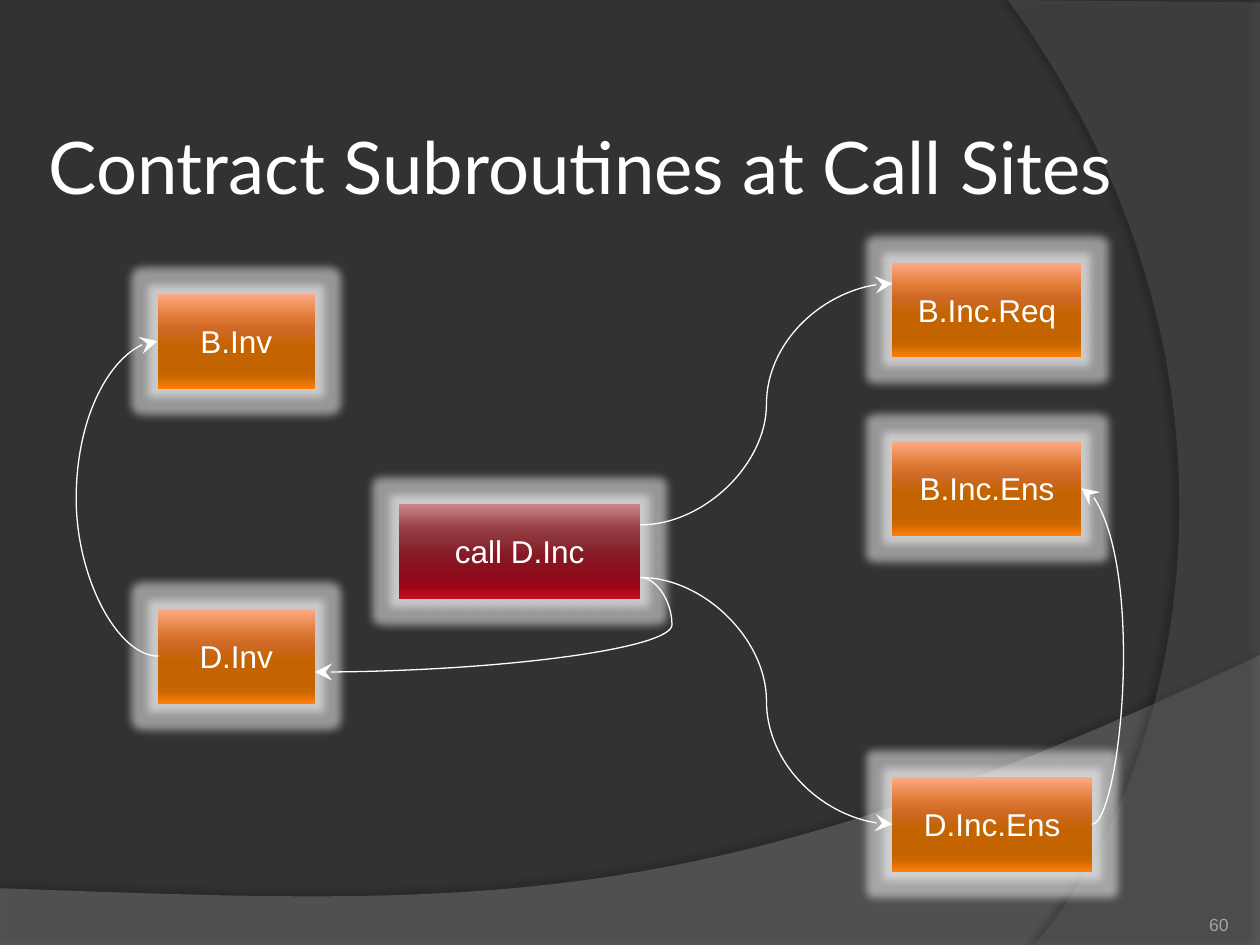
"""Build the slide on contract subroutines at call sites, on a grid of 120 columns by 90 rows."""
from lxml.etree import SubElement
from pptx import Presentation
from pptx.dml.color import RGBColor
from pptx.enum.shapes import MSO_CONNECTOR, MSO_SHAPE
from pptx.enum.text import MSO_ANCHOR, MSO_AUTO_SIZE, PP_ALIGN
from pptx.oxml.ns import qn
from pptx.util import Inches, Pt

CURVE = MSO_CONNECTOR.CURVE
RECTANGLE = MSO_SHAPE.RECTANGLE
MIDDLE, BOTTOM = MSO_ANCHOR.MIDDLE, MSO_ANCHOR.BOTTOM
LEFT, CENTER, RIGHT = PP_ALIGN.LEFT, PP_ALIGN.CENTER, PP_ALIGN.RIGHT
WHITE = RGBColor(0xFF, 0xFF, 0xFF)
BLACK = RGBColor(0x00, 0x00, 0x00)
BACKGROUND = RGBColor(0x32, 0x32, 0x32)
FLOOR_GRAY = RGBColor(0x7F, 0x7F, 0x7F)
SIDE_GRAY = RGBColor(0x5E, 0x5E, 0x5E)
NUMBER_GRAY = RGBColor(0xA8, 0xA4, 0x9B)
RED_SHADES = [RGBColor.from_string(shade) for shade in
              "CA888B 973F46 8A3238 861723 900B1A 9F0516 BF0F21".split()]
ORANGE_SHADES = [RGBColor.from_string(shade) for shade in
                 "FFAA86 DE7A35 CD6924 C36400 C26300 CC6800 FF7F0A".split()]
STOPS = (0, 25, 38, 55, 80, 88, 100)
CURVE_STEPS = 60
BOX_ROWS = 9


def add_effect(shape, name, color, opacity, **attributes):
    shape.shadow.inherit = False
    effects = shape.element.spPr.find(qn("a:effectLst"))
    effect = SubElement(effects, qn(name), {key: str(value) for key, value in attributes.items()})
    tint = SubElement(effect, qn("a:srgbClr"), val=str(color))
    SubElement(tint, qn("a:alpha"), val=str(opacity * 1000))


def write_text(shape, text, font_name, size, color, alignment, anchor, margin):
    frame = shape.text_frame
    frame.word_wrap = True
    frame.auto_size = MSO_AUTO_SIZE.NONE
    frame.vertical_anchor = anchor
    frame.margin_left = frame.margin_right = frame.margin_top = frame.margin_bottom = margin
    paragraph = frame.paragraphs[0]
    paragraph.alignment = alignment
    run = paragraph.add_run()
    run.text = text
    run.font.name = font_name
    run.font.size = Pt(size)
    run.font.color.rgb = color


presentation = Presentation()
presentation.slide_width, presentation.slide_height = Inches(10), Inches(7.5)
cell = presentation.slide_width // 120
slide = presentation.slides.add_slide(presentation.slide_layouts[5])
slide.background.fill.solid()
slide.background.fill.fore_color.rgb = BACKGROUND

waves = [
    ([(10, 5.2), (5.59, 7.29), (3.91, 7.19), (0, 7.05)], [(0, 7.5), (10, 7.5)],
     FLOOR_GRAY, 45, 35, 3.5, 270),
    ([(8.21, 7.5), (9.35, 6.19), (10.18, 3), (8, 0)], [(10, 0.02), (10, 7.5)],
     SIDE_GRAY, 40, 45, 4, 180),
]
for controls, corners, color, opacity, shadow_opacity, distance, direction in waves:
    points = []
    for step in range(CURVE_STEPS + 1):
        t = step / CURVE_STEPS
        weights = ((1 - t) ** 3, 3 * t * (1 - t) ** 2, 3 * t ** 2 * (1 - t), t ** 3)
        points.append([sum(weight * control[axis] for weight, control in zip(weights, controls))
                       for axis in (0, 1)])
    points = [(Inches(x), Inches(y)) for x, y in points + corners]
    builder = slide.shapes.build_freeform(*points[0])
    builder.add_line_segments(points[1:], close=True)
    wave = builder.convert_to_shape()
    wave.fill.solid()
    wave.fill.fore_color.rgb = color
    tint = wave.element.spPr.find(qn("a:solidFill"))[0]
    SubElement(tint, qn("a:alpha"), val=str(opacity * 1000))
    wave.line.fill.background()
    add_effect(wave, "a:outerShdw", BLACK, shadow_opacity, blurRad=Pt(4), dist=Pt(distance),
               dir=direction * 60000, algn="ctr", rotWithShape=0)

title = slide.shapes.title
title.element.getparent().append(title.element)
title.left, title.top, title.width, title.height = 4 * cell, 12 * cell, 112 * cell, Inches(0.63)
write_text(title, "Contract Subroutines at Call Sites", "Lato", 41.4, WHITE, LEFT, MIDDLE, Inches(0.05))

number = slide.shapes.add_textbox(107 * cell, Inches(7.02), 10 * cell, Inches(0.4))
write_text(number, "60", "Arial", 10, NUMBER_GRAY, RIGHT, BOTTOM, 0)

boxes = [
    ("call D.Inc", 38, 48, 23, RED_SHADES),
    ("B.Inv", 15, 28, 15, ORANGE_SHADES),
    ("B.Inc.Req", 85, 25, 18, ORANGE_SHADES),
    ("B.Inc.Ens", 85, 42, 18, ORANGE_SHADES),
    ("D.Inv", 15, 58, 15, ORANGE_SHADES),
    ("D.Inc.Ens", 85, 74, 19, ORANGE_SHADES),
]
for label, column, row, columns, shades in boxes:
    box = slide.shapes.add_shape(RECTANGLE, column * cell, row * cell, columns * cell, BOX_ROWS * cell)
    box.fill.gradient()
    box.fill.gradient_angle = 270
    stop_list = box.element.spPr.find(qn("a:gradFill")).find(qn("a:gsLst"))
    stop_list.clear()
    for position, shade in zip(STOPS, shades):
        stop = SubElement(stop_list, qn("a:gs"), pos=str(position * 1000))
        SubElement(stop, qn("a:srgbClr"), val=str(shade))
    box.line.fill.background()
    add_effect(box, "a:glow", WHITE, 50, rad=Pt(10))
    write_text(box, label, "Arial", 18, WHITE, CENTER, MIDDLE, Inches(0.05))

calls = [
    (61, 55, 85, 78.5, 73),
    (61, 50, 85, 27, 73),
    (61, 55, 30, 64, 64),
    (15.1, 62.5, 15, 32.5, 7.2),
    (104, 78.5, 103, 46.5, 107),
]
for start_column, start_row, end_column, end_row, bend_column in calls:
    ends = [round(place * cell) for place in (start_column, start_row, end_column, end_row)]
    connector = slide.shapes.add_connector(CURVE, *ends)
    connector.line.color.rgb = WHITE
    connector.line.width = Pt(0.75)
    properties = connector.element.spPr
    bend = round((bend_column - start_column) / (end_column - start_column) * 100000)
    guides = properties.find(qn("a:prstGeom")).find(qn("a:avLst"))
    SubElement(guides, qn("a:gd"), name="adj1", fmla=f"val {bend}")
    SubElement(properties.find(qn("a:ln")), qn("a:tailEnd"), type="stealth", w="lg", len="lg")
    SubElement(properties, qn("a:effectLst"))

presentation.save("out.pptx")
